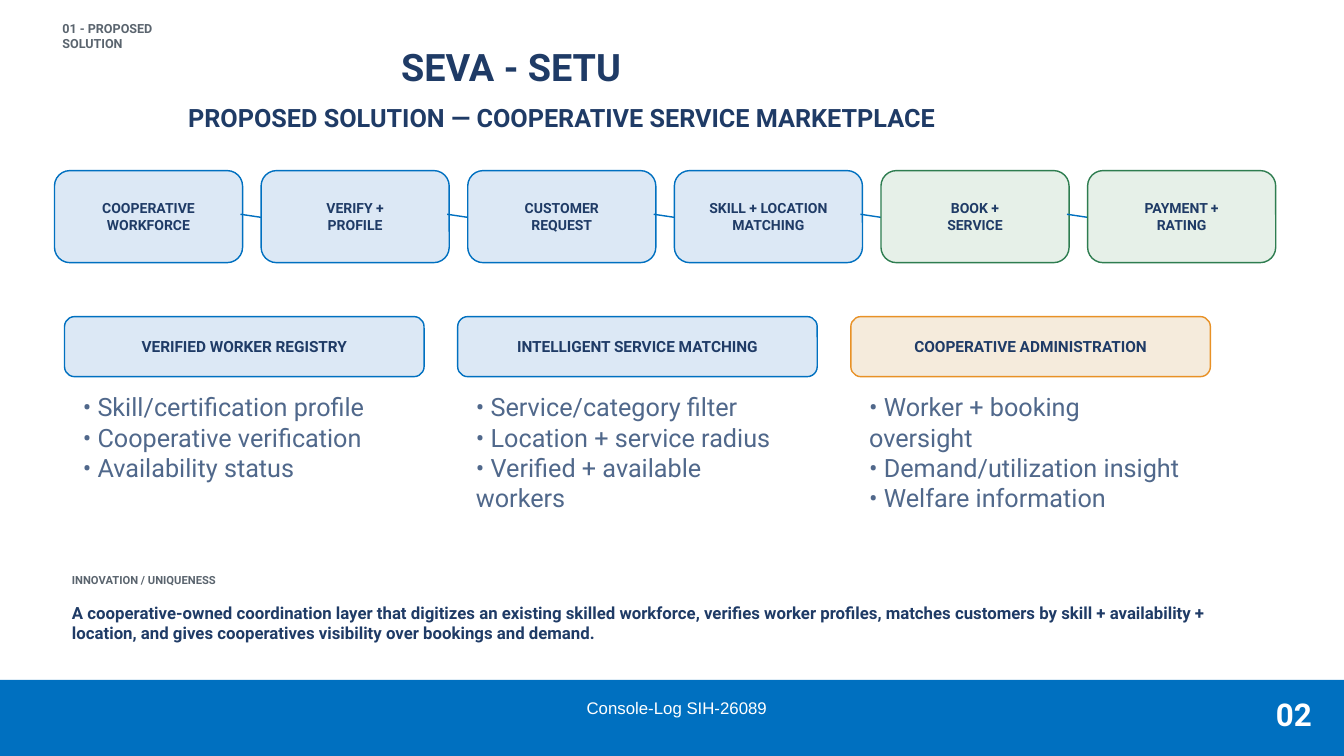
from dataclasses import dataclass

from lxml import etree
from pptx import Presentation
from pptx import util as u
from pptx.dml.color import RGBColor
from pptx.enum import shapes, text
from pptx.oxml.ns import qn

NAVY, SLATE, GREY, WHITE = "1F3B66", "50688B", "5A646E", "FFFFFF"
BLUE, PALE_BLUE = "0070C0", "DCE8F5"
GREEN, PALE_GREEN = "2E7D50", "E6F0E8"
ORANGE, PALE_ORANGE = "E89126", "F5EBDC"


@dataclass(frozen=True)
class Box:
    """A frame in centimetres."""
    left: float
    top: float
    width: float
    height: float

    def emu(self) -> tuple:
        return u.Cm(self.left), u.Cm(self.top), u.Cm(self.width), u.Cm(self.height)


@dataclass(frozen=True)
class Style:
    size: float
    color: str = NAVY
    bold: bool = True
    font: str = "Roboto"
    align: text.PP_ALIGN = text.PP_ALIGN.LEFT


@dataclass(frozen=True)
class Step:
    lines: list[str]
    fill: str = PALE_BLUE
    line: str = BLUE


@dataclass(frozen=True)
class Feature:
    heading: str
    points: list[str]
    fill: str = PALE_BLUE
    line: str = BLUE


@dataclass(frozen=True)
class Label:
    wording: str
    box: Box
    style: Style


STEPS = [
    Step(["COOPERATIVE", "WORKFORCE"]),
    Step(["VERIFY +", "PROFILE"]),
    Step(["CUSTOMER", "REQUEST"]),
    Step(["SKILL + LOCATION", "MATCHING"]),
    Step(["BOOK +", "SERVICE"], PALE_GREEN, GREEN),
    Step(["PAYMENT +", "RATING"], PALE_GREEN, GREEN),
]
STEP_BOX, STEP_PITCH = Box(2.06, 6.45, 7.11, 3.48), 7.81

FEATURES = [
    Feature("VERIFIED WORKER REGISTRY",
            ["Skill/certification profile", "Cooperative verification", "Availability status"]),
    Feature("INTELLIGENT SERVICE MATCHING",
            ["Service/category filter", "Location + service radius", "Verified + available workers"]),
    Feature("COOPERATIVE ADMINISTRATION",
            ["Worker + booking oversight", "Demand/utilization insight", "Welfare information"],
            PALE_ORANGE, ORANGE),
]
FEATURE_BOX, FEATURE_PITCH = Box(2.44, 11.97, 13.59, 2.27), 14.86

STEP_STYLE = Style(15, align=text.PP_ALIGN.CENTER)
HEADING_STYLE = Style(16.5, align=text.PP_ALIGN.CENTER)
POINT_STYLE = Style(27, SLATE, bold=False)

LABELS = [
    Label("02", Box(48.23, 26.29, 1.6, 1.4), Style(33.6, WHITE)),
    Label("SEVA - SETU", Box(15.16, 1.65, 9.35, 1.68), Style(40.5)),
    Label("PROPOSED SOLUTION — COOPERATIVE SERVICE MARKETPLACE",
          Box(7.11, 3.86, 28.24, 1.14), Style(27)),
    Label("INNOVATION / UNIQUENESS", Box(2.72, 21.67, 7.11, 0.51), Style(12, GREY)),
    Label("A cooperative-owned coordination layer that digitizes an existing skilled workforce, "
          "verifies worker profiles, matches customers by skill + availability + location, "
          "and gives cooperatives visibility over bookings and demand.",
          Box(2.72, 22.78, 44.07, 2.24), Style(18)),
    Label("01 - PROPOSED SOLUTION", Box(2.36, 0.79, 5.59, 1.14), Style(13.5, GREY)),
]


def rgb(code: str) -> RGBColor:
    return RGBColor.from_string(code)


def write(shape, lines: list[str], style: Style, inset: float = 0, anchor=text.MSO_ANCHOR.TOP) -> None:
    frame = shape.text_frame
    frame.word_wrap = True
    frame.vertical_anchor = anchor
    frame.margin_left = frame.margin_right = u.Cm(inset)
    frame.margin_top = frame.margin_bottom = u.Cm(inset)
    for index, line in enumerate(lines):
        paragraph = frame.add_paragraph() if index else frame.paragraphs[0]
        paragraph.text = line
        paragraph.alignment = style.align
        paragraph.line_spacing = u.Pt(round(style.size * 1.2, 1))
        font = paragraph.font
        font.name, font.size, font.bold = style.font, u.Pt(style.size), style.bold
        font.color.rgb = rgb(style.color)


def add_text(slide, box: Box, lines: list[str], style: Style, anchor=text.MSO_ANCHOR.TOP) -> None:
    write(slide.shapes.add_textbox(*box.emu()), lines, style, anchor=anchor)


def add_card(slide, box: Box, lines: list[str], style: Style, fill: str, line: str) -> None:
    card = slide.shapes.add_shape(shapes.MSO_SHAPE.ROUNDED_RECTANGLE, *box.emu())
    card.shadow.inherit = False
    card.fill.solid()
    card.fill.fore_color.rgb = rgb(fill)
    card.line.color.rgb = rgb(line)
    card.line.width = u.Pt(1.5)
    write(card, lines, style, inset=0.15, anchor=text.MSO_ANCHOR.MIDDLE)


def add_link(slide, left: float) -> None:
    """Joins a step card to the next one with a slightly sloping line."""
    link = slide.shapes.add_connector(
        shapes.MSO_CONNECTOR.STRAIGHT, u.Cm(left), u.Cm(8.1), u.Cm(left + 0.87), u.Cm(8.23))
    link.line.color.rgb = rgb(BLUE)
    link.line.width = u.Pt(1.5)
    etree.SubElement(link._element.spPr, qn("a:effectLst"))


def add_footer(slide) -> None:
    band = slide.shapes.add_shape(shapes.MSO_SHAPE.RECTANGLE, *Box(0, 25.7, 50.8, 2.88).emu())
    band.shadow.inherit = False
    band.fill.solid()
    band.fill.fore_color.rgb = rgb(BLUE)
    band.line.fill.background()
    add_text(slide, Box(18.9, 25.98, 13.36, 1.55), ["Console-Log SIH-26089"],
             Style(18, WHITE, bold=False, font="Arial", align=text.PP_ALIGN.CENTER),
             text.MSO_ANCHOR.MIDDLE)


def add_steps(slide) -> None:
    for index, step in enumerate(STEPS):
        left = STEP_BOX.left + index * STEP_PITCH
        box = Box(left, STEP_BOX.top, STEP_BOX.width, STEP_BOX.height)
        add_card(slide, box, step.lines, STEP_STYLE, step.fill, step.line)
        if index < len(STEPS) - 1:
            add_link(slide, left + STEP_BOX.width - 0.08)


def add_features(slide) -> None:
    for index, feature in enumerate(FEATURES):
        left = FEATURE_BOX.left + index * FEATURE_PITCH
        box = Box(left, FEATURE_BOX.top, FEATURE_BOX.width, FEATURE_BOX.height)
        add_card(slide, box, [feature.heading], HEADING_STYLE, feature.fill, feature.line)
        add_text(slide, Box(left + 0.69, 14.81, 12.07, 3.4),
                 [f"• {point}" for point in feature.points], POINT_STYLE)


def main() -> None:
    presentation = Presentation()
    presentation.slide_width, presentation.slide_height = u.Cm(50.8), u.Cm(28.58)
    slide = presentation.slides.add_slide(presentation.slide_layouts[6])
    add_footer(slide)
    add_steps(slide)
    add_features(slide)
    for label in LABELS:
        add_text(slide, label.box, [label.wording], label.style)
    presentation.save("out.pptx")


if __name__ == "__main__":
    main()
